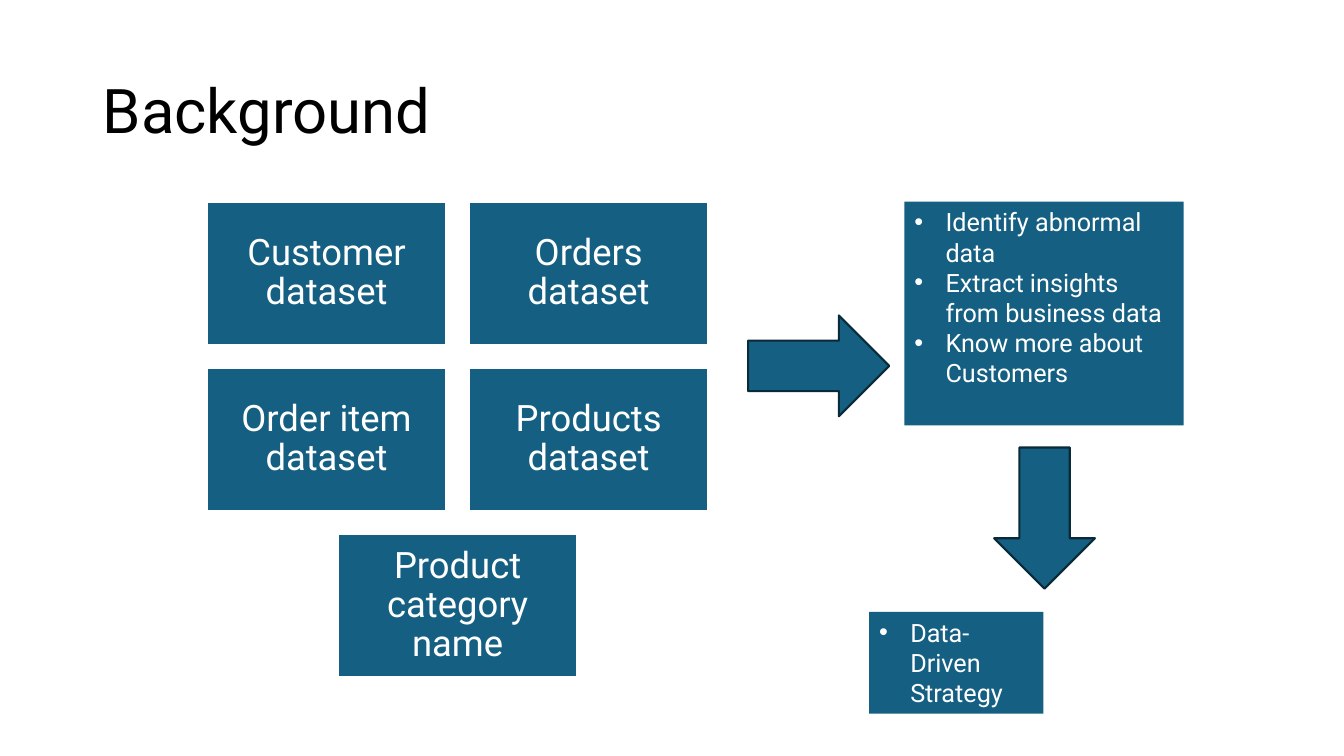
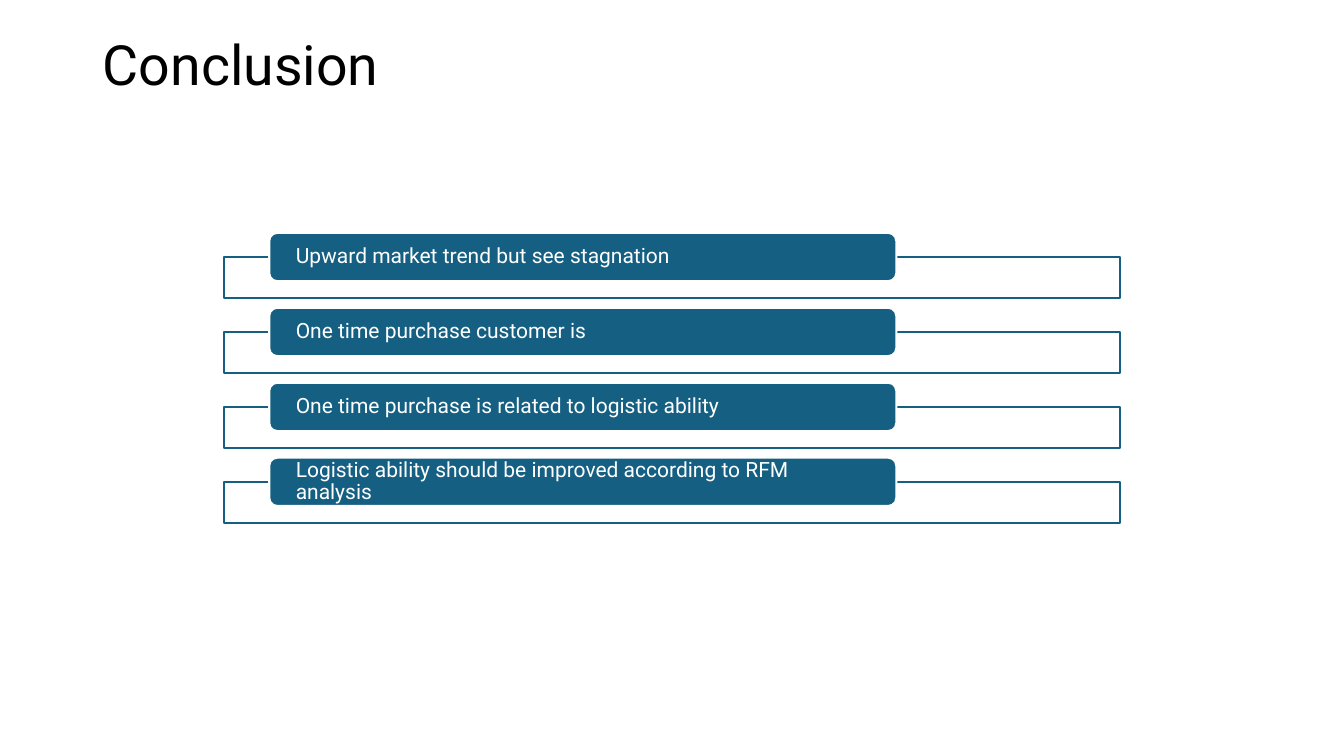
"""Build the background and conclusion slides of a customer data analysis."""
from dataclasses import dataclass

from lxml import etree
from pptx import Presentation
from pptx.dml.color import RGBColor as Color
from pptx.enum.shapes import MSO_SHAPE as Preset
from pptx.enum.text import MSO_ANCHOR as Anchor, MSO_AUTO_SIZE as AutoSize, PP_ALIGN as Align
from pptx.oxml.ns import qn
from pptx.util import Inches, Pt


@dataclass(frozen=True)
class Theme:
    font: str = "Roboto"
    accent: Color = Color(0x15, 0x60, 0x82)
    outline: Color = Color(0x09, 0x2A, 0x39)
    light: Color = Color(0xFF, 0xFF, 0xFF)
    dark: Color = Color(0x00, 0x00, 0x00)
    title_size: float = 44
    small_title_size: float = 39.6
    dataset_size: float = 26
    goal_size: float = 18
    finding_size: float = 15
    line_width: float = 1.5


THEME = Theme()

DATASET_ROWS = [
    ["Customer dataset", "Orders dataset"],
    ["Order item dataset", "Products dataset"],
    ["Product category name"],
]
GOALS = ["Identify abnormal data", "Extract insights from business data", "Know more about Customers"]
OUTCOME = ["Data-Driven Strategy"]
FINDINGS = [
    "Upward market trend but see stagnation",
    "One time purchase customer is",
    "One time purchase is related to logistic ability",
    "Logistic ability should be improved according to RFM analysis",
]


def add_bullet(paragraph, indent=0.31):
    properties = paragraph._p.get_or_add_pPr()
    properties.set("marL", str(Inches(indent)))
    properties.set("indent", str(-Inches(indent)))
    etree.SubElement(properties, qn("a:buFont"), typeface="Arial")
    etree.SubElement(properties, qn("a:buChar"), char="•")


def write_text(shape, lines, size, color=THEME.light, align=Align.LEFT, anchor=Anchor.MIDDLE,
               spacing=0.9, insets=(0.1, 0.05), bullets=False):
    frame = shape.text_frame
    frame.word_wrap = True
    frame.auto_size = AutoSize.NONE
    frame.vertical_anchor = anchor
    frame.margin_left = frame.margin_right = Inches(insets[0])
    frame.margin_top = frame.margin_bottom = Inches(insets[1])
    for index, line in enumerate(lines):
        paragraph = frame.add_paragraph() if index else frame.paragraphs[0]
        paragraph.alignment = align
        paragraph.line_spacing = spacing
        run = paragraph.add_run()
        run.text = line
        run.font.name = THEME.font
        run.font.size = Pt(size)
        run.font.color.rgb = color
        if bullets:
            add_bullet(paragraph)


def add_box(slide, preset, left, top, width, height, fill=THEME.accent, line=None):
    shape = slide.shapes.add_shape(preset, Inches(left), Inches(top), Inches(width), Inches(height))
    shape.shadow.inherit = False
    shape.fill.solid()
    shape.fill.fore_color.rgb = fill
    if line is None:
        shape.line.fill.background()
    else:
        shape.line.color.rgb = line
        shape.line.width = Pt(THEME.line_width)
    return shape


def add_titled_slide(presentation, text, height, size):
    slide = presentation.slides.add_slide(presentation.slide_layouts[5])
    title = slide.shapes.title
    title.left, title.top = Inches(0.92), Inches(0.4)
    title.width, title.height = Inches(11.5), Inches(height)
    write_text(title, [text], size, color=THEME.dark)
    return slide


def add_dataset_grid(slide, center=4.54, top=2, width=2.37, height=1.42, gap=0.23):
    for row, names in enumerate(DATASET_ROWS):
        row_width = len(names) * (width + gap) - gap
        for column, name in enumerate(names):
            left = center - row_width / 2 + column * (width + gap)
            box = add_box(slide, Preset.RECTANGLE, left, top + row * (height + gap), width, height,
                          line=THEME.light)
            write_text(box, [name], THEME.dataset_size, align=Align.CENTER, insets=(0.11, 0.11))


def add_goal_box(slide, lines, *place):
    box = add_box(slide, Preset.RECTANGLE, *place)
    write_text(box, lines, THEME.goal_size, anchor=Anchor.TOP, spacing=1.0, bullets=True)


def add_arrow(slide, left, top, rotation=0):
    arrow = add_box(slide, Preset.RIGHT_ARROW, left, top, 1.4, 1, line=THEME.outline)
    arrow.rotation = rotation


def build_background(presentation):
    slide = add_titled_slide(presentation, "Background", 1.45, THEME.title_size)
    add_dataset_grid(slide)
    add_arrow(slide, 7.42, 3.13)
    add_goal_box(slide, GOALS, 8.97, 2, 2.77, 2.22)
    add_arrow(slide, 9.66, 4.64, rotation=90)
    add_goal_box(slide, OUTCOME, 8.62, 6.07, 1.73, 1.01)


def build_conclusion(presentation, first_top=2.55, last_top=4.78):
    slide = add_titled_slide(presentation, "Conclusion", 0.53, THEME.small_title_size)
    pitch = (last_top - first_top) / (len(FINDINGS) - 1)
    for index, finding in enumerate(FINDINGS):
        top = first_top + index * pitch
        add_box(slide, Preset.RECTANGLE, 2.22, top, 8.89, 0.41, fill=THEME.light, line=THEME.accent)
        label = add_box(slide, Preset.ROUNDED_RECTANGLE, 2.67, top - 0.24, 6.22, 0.48, line=THEME.light)
        write_text(label, [finding], THEME.finding_size, insets=(0.24, 0))


def main():
    presentation = Presentation()
    presentation.slide_width, presentation.slide_height = Inches(13.33), Inches(7.5)
    build_background(presentation)
    build_conclusion(presentation)
    presentation.save("out.pptx")


if __name__ == "__main__":
    main()
